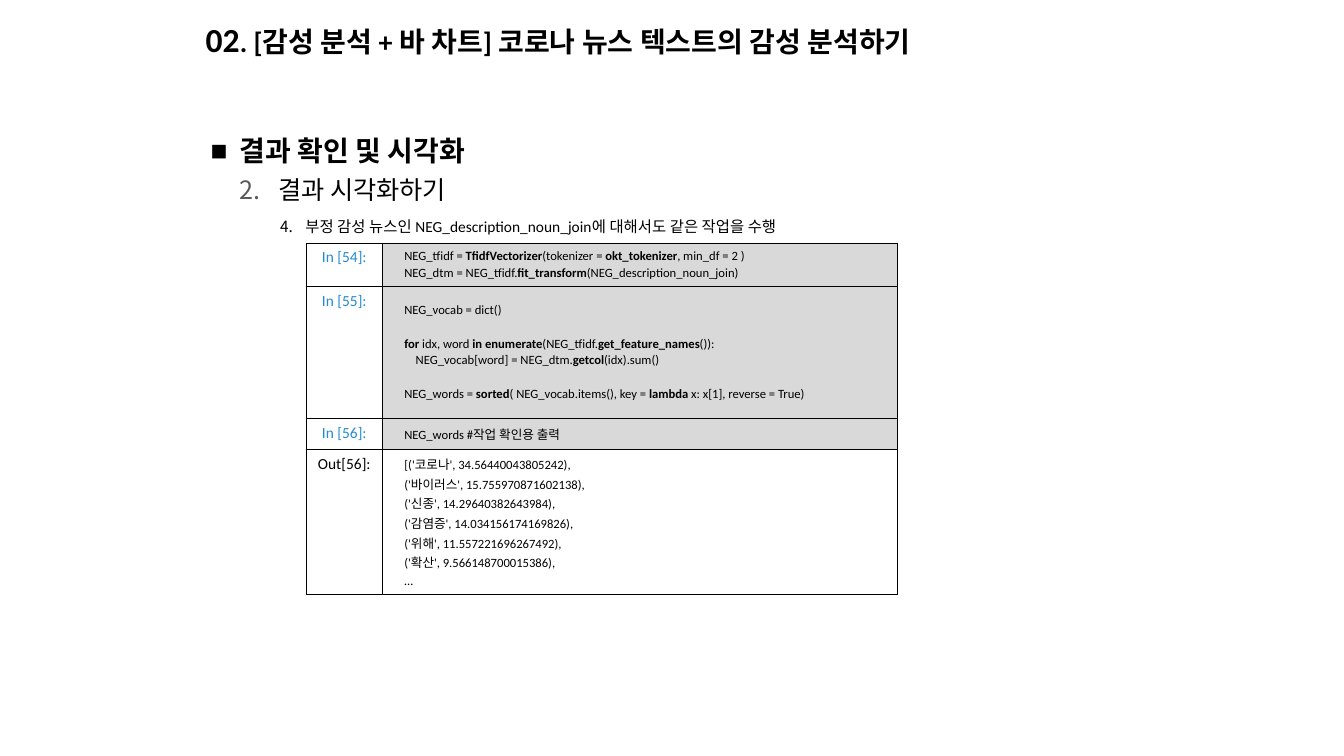
import pptx
import pptx.dml.color
import pptx.enum.text
import pptx.oxml
import pptx.oxml.ns
import pptx.util
from lxml import etree

PX = 9144  # EMU in one px, 100 px to the inch
ALIGN = pptx.enum.text.PP_ALIGN
ANCHOR = pptx.enum.text.MSO_ANCHOR

# Code lines: ** switches bold, an empty line becomes space before the next one
CELLS = [
    ("In [54]:", """\
NEG_tfidf = **TfidfVectorizer**(tokenizer = **okt_tokenizer**, min_df = 2 )
NEG_dtm = NEG_tfidf.**fit_transform**(NEG_description_noun_join)"""),
    ("In [55]:", """\
NEG_vocab = dict()

**for** idx, word **in enumerate**(NEG_tfidf.**get_feature_names**()):
    NEG_vocab[word] = NEG_dtm.**getcol**(idx).sum()

NEG_words = **sorted**( NEG_vocab.items(), key = **lambda** x: x[1], reverse = True)"""),
    ("In [56]:", "NEG_words #작업 확인용 출력"),
    ("Out[56]:", """\
[('코로나', 34.56440043805242),
('바이러스', 15.755970871602138),
('신종', 14.29640382643984),
('감염증', 14.034156174169826),
('위해', 11.557221696267492),
('확산', 9.566148700015386),
…"""),
]


def px(n):
    return pptx.util.Emu(n * PX)


def rgb(color):
    return pptx.dml.color.RGBColor.from_string(color)


class Deck:
    """Holds the style and the current slide."""
    black, grey, blue, shade, white = "000000", "595959", "258BCD", "D9D9D9", "FFFFFF"
    font = "Calibri"

    def __init__(self, width, height):
        self.prs = pptx.Presentation()
        self.prs.slide_width, self.prs.slide_height = px(width), px(height)
        self.s = self.prs.slides.add_slide(self.prs.slide_layouts[5])

    def run(self, p, text, size, color=black, bold=False, font=font):
        r = p.add_run()
        r.text = text
        r.font.color.rgb = rgb(color)
        for name, value in dict(size=pptx.util.Pt(size), bold=bold, name=font).items():
            setattr(r.font, name, value)

    def paragraph(self, tf, first, before=0, **formats):
        p = tf.paragraphs[0] if first else tf.add_paragraph()
        if not first:
            formats["space_before"] = pptx.util.Pt(before)
        for name, value in formats.items():
            setattr(p, name, value)
        return p

    def indent(self, p, left, hanging=0):
        pPr = p._p.get_or_add_pPr()
        pPr.set("marL", str(px(left)))
        pPr.set("indent", str(-px(hanging)))
        return pPr

    def bullet(self, p, left, hanging, color, mark):
        """Hang a bullet: a character, or the number a list starts at."""
        pPr = self.indent(p, left, hanging)
        qn = pptx.oxml.ns.qn
        clr = etree.SubElement(pPr, qn("a:buClr"))
        etree.SubElement(clr, qn("a:srgbClr"), val=color)
        if isinstance(mark, int):
            etree.SubElement(pPr, qn("a:buFont"), typeface=self.font)
            etree.SubElement(pPr, qn("a:buAutoNum"), type="arabicPeriod", startAt=str(mark))
        else:
            etree.SubElement(pPr, qn("a:buFont"), typeface="Arial")
            etree.SubElement(pPr, qn("a:buChar"), char=mark)

    def title(self, x, y, w, h, number, text):
        sp = self.s.shapes.title
        for name, value in dict(left=x, top=y, width=w, height=h).items():
            setattr(sp, name, px(value))
        tf = sp.text_frame
        tf.word_wrap = True
        tf.vertical_anchor = ANCHOR.MIDDLE
        p = self.paragraph(tf, True, alignment=ALIGN.LEFT, line_spacing=0.9)
        self.run(p, number, 24, bold=True)
        self.run(p, text, 20, bold=True)

    def outline(self, x, y, w, h, items):
        tf = self.s.shapes.add_textbox(px(x), px(y), px(w), px(h)).text_frame
        tf.word_wrap = True
        for i, (text, bullet, spacing, style) in enumerate(items):
            p = self.paragraph(tf, i == 0)
            self.bullet(p, *bullet)
            for name, value in spacing.items():
                setattr(p, name, value)
            self.run(p, text, **style)

    def label(self, cell, text):
        p = self.paragraph(cell.text_frame, True, alignment=ALIGN.CENTER)
        self.run(p, text, 11, self.blue if text.startswith("In") else self.black)

    def code(self, cell, text):
        cell.vertical_anchor = ANCHOR.MIDDLE
        before, first = 0.5, True
        for line in text.split("\n"):
            if not line:
                before = 12.5
                continue
            p = self.paragraph(cell.text_frame, first, before, space_after=pptx.util.Pt(0.5))
            self.indent(p, 12)
            for i, part in enumerate(line.split("**")):
                if part:
                    self.run(p, part, 9, bold=i % 2 == 1)
            before, first = 0.5, False

    def finish_cell(self, cell, fill):
        """Set the margins, the borders and the fill of a cell."""
        for side, margin in dict(left=10, top=5, right=10, bottom=5).items():
            setattr(cell, "margin_" + side, px(margin))
        tcPr = cell._tc.get_or_add_tcPr()
        for edge in ("lnL", "lnR", "lnT", "lnB"):
            tcPr.append(pptx.oxml.parse_xml(
                f'<a:{edge} {pptx.oxml.ns.nsdecls("a")} w="3175"><a:solidFill>'
                f'<a:srgbClr val="{self.black}"/></a:solidFill></a:{edge}>'))
        cell.fill.solid()
        cell.fill.fore_color.rgb = rgb(fill)

    def notebook(self, x, y, widths, heights, cells):
        frame = self.s.shapes.add_table(len(cells), 2, px(x), px(y),
                                        px(sum(widths)), px(sum(heights)))
        table = frame.table
        table.first_row = table.horz_banding = False
        for column, width in zip(table.columns, widths):
            column.width = px(width)
        for row, height, (label, code) in zip(table.rows, heights, cells):
            row.height = px(height)
            left, right = row.cells
            self.label(left, label)
            self.code(right, code)
            self.finish_cell(left, self.white)
            self.finish_cell(right, self.shade if label.startswith("In") else self.white)


def main():
    deck = Deck(1333, 750)
    pt = pptx.util.Pt
    deck.title(194, 11, 950, 60, "02", ". [감성 분석 + 바 차트] 코로나 뉴스 텍스트의 감성 분석하기")
    deck.outline(199, 111, 945, 598, [
        ("결과 확인 및 시각화", (29, 29, deck.black, "■"),
         dict(line_spacing=1.5), dict(size=20, bold=True, font="Arial")),
        ("결과 시각화하기", (67, 38, deck.grey, 2),
         dict(space_before=pt(5), space_after=pt(4)), dict(size=18)),
        ("부정 감성 뉴스인 NEG_description_noun_join에 대해서도 같은 작업을 수행",
         (94, 25, deck.black, 4),
         dict(space_before=pt(5), space_after=pt(3)), dict(size=11)),
    ])
    deck.notebook(304, 241, (75, 511), (43, 131, 31, 143), CELLS)
    deck.prs.save("out.pptx")


if __name__ == "__main__":
    main()
